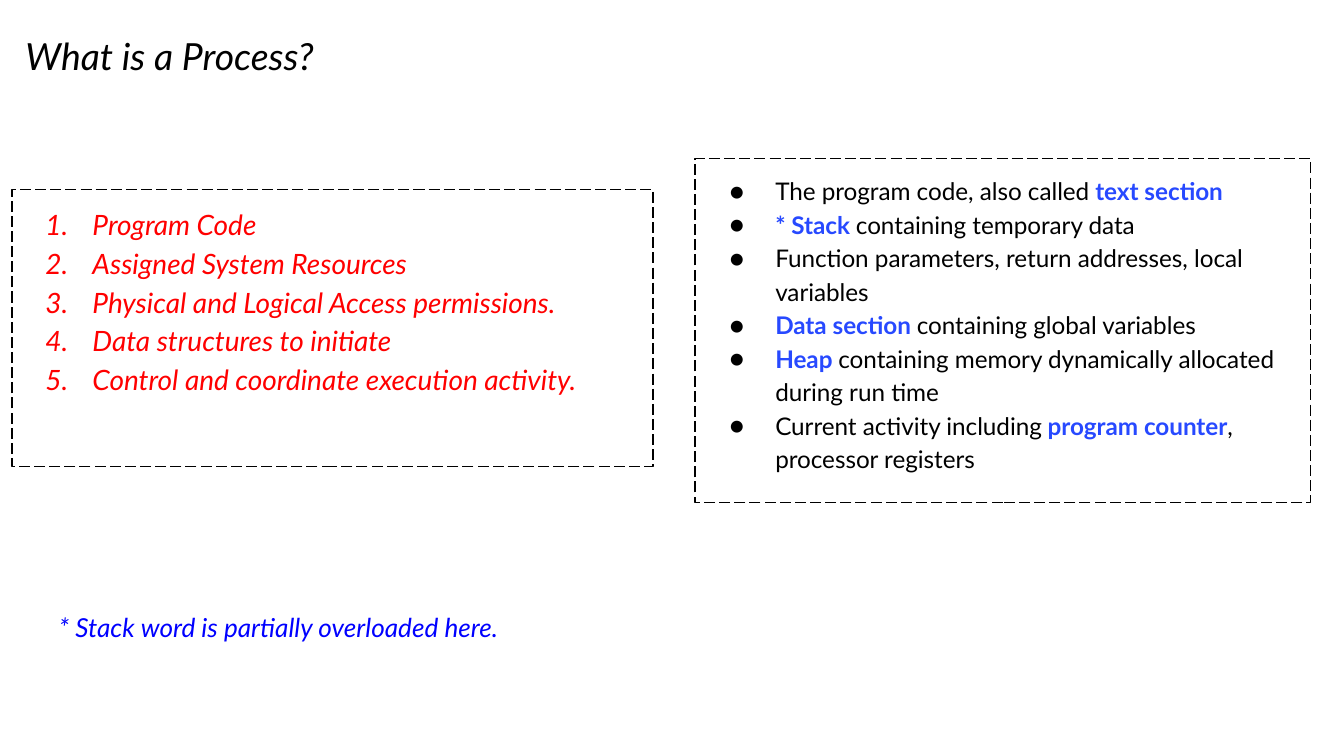
import pptx
import pptx.util
import pptx.dml.color
import pptx.enum.dml
import pptx.enum.shapes
import pptx.enum.text
import pptx.oxml.ns
from lxml import etree

Inches = pptx.util.Inches
Pt = pptx.util.Pt
ALIGN = pptx.enum.text.PP_ALIGN

FONT = "Lato"
COLORS = {"black": "000000", "red": "FF0000", "blue": "0000FF", "key": "2749FF"}

PARTS = [
    "Program Code",
    "Assigned System Resources",
    "Physical and Logical Access permissions. ",
    "Data structures to initiate",
    "Control and coordinate execution activity.",
]
# Text between two "|" marks is a key term.
MEMORY = [
    "The program code, also called |text section|",
    "|* Stack |containing temporary data",
    "Function parameters, return addresses, local variables",
    "|Data section |containing global variables",
    "|Heap |containing memory dynamically allocated during run time",
    "Current activity including| program counter|, processor registers",
]


def rgb(name):
    return pptx.dml.color.RGBColor.from_string(COLORS[name])


def style(font, color, **values):
    font.name = FONT
    font.color.rgb = rgb(color)
    for key, value in values.items():
        setattr(font, key, value)


def set_frame(frame):
    values = {"word_wrap": True, "vertical_anchor": pptx.enum.text.MSO_ANCHOR.TOP}
    for side in ("left", "right", "top", "bottom"):
        values["margin_" + side] = Inches(0.1)
    for key, value in values.items():
        setattr(frame, key, value)


def add_text(slide, place, text, size, color):
    frame = slide.shapes.add_textbox(*map(Inches, place)).text_frame
    set_frame(frame)
    run = frame.paragraphs[0].add_run()
    run.text = text
    style(run.font, color, size=Pt(size), italic=True)


def add_mark(para, hang, color, tag, **attrs):
    """Give the paragraph a hanging list mark."""
    props = para._p.get_or_add_pPr()
    props.set("marL", str(Inches(0.5)))
    props.set("indent", str(-Inches(hang)))
    qn = pptx.oxml.ns.qn
    tint = etree.SubElement(props, qn("a:buClr"))
    etree.SubElement(tint, qn("a:srgbClr"), val=COLORS[color])
    etree.SubElement(props, qn("a:buFont"), typeface=FONT)
    etree.SubElement(props, qn("a:" + tag), **attrs)


def add_list(slide, place, items, size, color, italic, align, hang, tag, **attrs):
    """Draw a dashed box that holds a list; "|" switches key terms on and off."""
    box = slide.shapes.add_shape(
        pptx.enum.shapes.MSO_SHAPE.RECTANGLE, *map(Inches, place))
    box.shadow.inherit = False
    box.fill.background()
    box.line.color.rgb = rgb("black")
    box.line.width = Pt(0.75)
    box.line.dash_style = pptx.enum.dml.MSO_LINE.LONG_DASH
    frame = box.text_frame
    set_frame(frame)
    for row, item in enumerate(items):
        para = frame.add_paragraph() if row else frame.paragraphs[0]
        add_mark(para, hang, color, tag, **attrs)
        para.alignment = align
        para.line_spacing = 1.15
        style(para.font, color, size=Pt(size), italic=italic)
        for part, text in enumerate(item.split("|")):
            if text:
                key = part % 2 == 1
                run = para.add_run()
                run.text = text
                style(run.font, "key" if key else color,
                      size=Pt(size), italic=italic, bold=key)


def main():
    deck = pptx.Presentation()
    deck.slide_width = Inches(10)
    deck.slide_height = Inches(10 * 9 / 16)
    slide = deck.slides.add_slide(deck.slide_layouts[6])
    add_text(slide, (0.09, 0.15, 9.2, 0.54), "What is a Process?", 20, "black")
    add_list(slide, (0.09, 1.41, 4.77, 2.06), PARTS, 15, "red", True,
             ALIGN.JUSTIFY, 0.35, "buAutoNum", type="arabicPeriod")
    add_list(slide, (5.17, 1.18, 4.58, 2.56), MEMORY, 13, "black", False,
             ALIGN.LEFT, 0.34, "buChar", char="●")
    add_text(slide, (0.34, 4.45, 9.03, 0.38),
             "* Stack word is partially overloaded here.", 14, "blue")
    deck.save("out.pptx")


if __name__ == "__main__":
    main()
